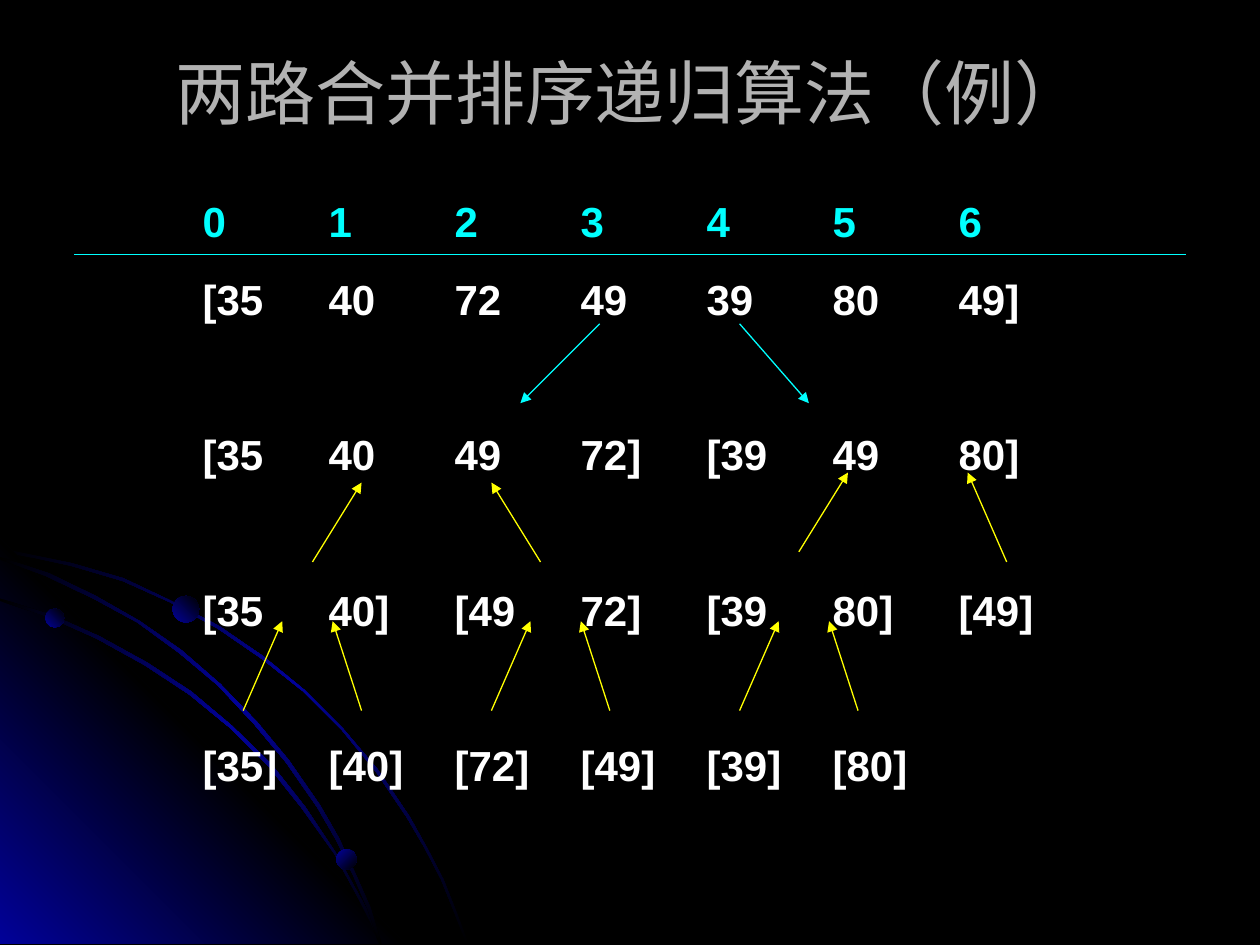
import copy

import pptx
import pptx.util
import pptx.dml.color
import pptx.enum.shapes
import pptx.enum.text
import pptx.oxml.ns
from pptx.util import Inches, Pt

THEME = {
    "font": "Arial", "title_size": 40, "row_size": 24, "line_width": 0.75,
    "background": "000000", "title": "B2B2B2", "text": "FFFFFF",
    "split": "00FFFF", "merge": "FFFF00", "glow": "010199",
}
BLACK, GLOW = THEME["background"], THEME["glow"]

TITLE = "两路合并排序递归算法（例）"
COLUMNS = 7
# Cells, space before in points, colour
ROWS = [
    (["0", "1", "2", "3", "4", "5", "6"], 0, "split"),
    (["[35", "40", "72", "49", "39", "80", "49]"], 16, "text"),
    (["[35", "40", "49", "72]", "[39", "49", "80]"], 60, "text"),
    (["[35", "40]", "[49", "72]", "[39", "80]", "[49]"], 60, "text"),
    (["[35]", "[40]", "[72]", "[49]", "[39]", "[80]"], 60, "text"),
]

# Arrows: x and y of the start, x and y of the end
HEADER_RULE = (0.59, 2.02, 9.41, 2.02)
SPLIT_ARROWS = [(4.76, 2.57, 4.13, 3.2), (5.87, 2.57, 6.42, 3.2)]
HALF_MERGES = [
    (2.48, 4.46, 2.87, 3.83), (4.29, 4.46, 3.9, 3.83),
    (6.34, 4.38, 6.73, 3.75), (7.99, 4.46, 7.68, 3.75),
]
PAIR_MERGE = [(1.93, 2.24), (2.87, 2.64)]
PAIR_TOP, PAIR_BOTTOM, PAIR_STEP, PAIR_COUNT = 4.93, 5.64, 1.97, 3

OUTER_ARC = [
    (0.57, 4.47), (0.28, 4.41), (0, 4.35), (0, 4.38), (0.28, 4.43), (0.56, 4.49),
    (0.97, 4.61), (1.35, 4.78), (1.73, 4.99), (2.08, 5.23), (2.41, 5.49),
    (2.71, 5.79), (2.98, 6.12), (3.23, 6.49), (3.37, 6.73), (3.5, 6.98),
    (3.6, 7.23), (3.7, 7.49), (3.72, 7.49), (3.62, 7.23), (3.52, 6.98),
    (3.39, 6.73), (3.25, 6.48), (3, 6.11), (2.72, 5.78), (2.42, 5.48),
    (2.09, 5.21), (1.74, 4.97), (1.36, 4.77), (0.98, 4.59),
]
CORNER = [(3.22, 7.49), (0, 7.49), (0, 4.27)]
INNER_ARC = [
    (2.85, 7.14), (2.94, 7.32), (3.01, 7.49), (3.03, 7.49), (2.96, 7.3),
    (2.86, 7.12), (2.66, 6.76), (2.42, 6.4), (2.15, 6.06), (1.84, 5.76),
    (1.52, 5.49), (1.17, 5.26), (0.79, 5.05), (0.41, 4.88), (0, 4.75), (0, 4.77),
    (0.39, 4.9), (0.77, 5.07), (1.15, 5.28), (1.5, 5.51), (1.83, 5.78),
    (2.13, 6.08), (2.4, 6.42), (2.65, 6.77),
]
MIDDLE_ARC = [
    (0, 4.42), (0, 4.44), (0.36, 4.57), (0.74, 4.75), (1.09, 4.94), (1.42, 5.18),
    (1.73, 5.44), (2.02, 5.75), (2.27, 6.05), (2.52, 6.41), (2.67, 6.67),
    (2.8, 6.94), (2.92, 7.22), (3.01, 7.49), (3.03, 7.49), (2.94, 7.2),
    (2.82, 6.93), (2.69, 6.65), (2.54, 6.39), (2.29, 6.03), (2.04, 5.73),
    (1.75, 5.43), (1.44, 5.16), (1.11, 4.93), (0.76, 4.73), (0.39, 4.55),
]
ARC_COLORS = [BLACK, GLOW, BLACK]
# Outline, gradient colours, clockwise gradient angle
SWOOSHES = [
    (OUTER_ARC, ARC_COLORS, 45),
    (CORNER, [GLOW, BLACK, GLOW], 315),
    (INNER_ARC, ARC_COLORS, 45),
    (MIDDLE_ARC, ARC_COLORS, 45),
]
# Left, top, diameter, gradient angle
PLANETS = [(0.36, 4.83, 0.15, 315), (2.67, 6.74, 0.16, 45), (1.37, 4.73, 0.21, 315)]


def rgb(value):
    return pptx.dml.color.RGBColor.from_string(value)


def style_gradient(sp, colors, angle):
    """Fill with evenly spaced colours along a clockwise angle, without outline."""
    sp.shadow.inherit = False
    sp.line.fill.background()
    sp.fill.gradient()
    sp.fill.gradient_angle = (360 - angle) % 360
    gs_list = next(sp._element.iter(pptx.oxml.ns.qn("a:gsLst")))
    while len(gs_list) < len(colors):
        gs_list.append(copy.deepcopy(gs_list[0]))
    for i, (stop, color) in enumerate(zip(sp.fill.gradient_stops, colors)):
        stop.position = i / (len(colors) - 1)
        stop.color.rgb = rgb(color)


def add_backdrop(slide):
    for points, colors, angle in SWOOSHES:
        outline = [(Inches(x), Inches(y)) for x, y in points]
        builder = slide.shapes.build_freeform(*outline[0])
        builder.add_line_segments(outline[1:], close=True)
        style_gradient(builder.convert_to_shape(), colors, angle)
    for x, y, size, angle in PLANETS:
        sp = slide.shapes.add_shape(pptx.enum.shapes.MSO_SHAPE.OVAL,
                                    Inches(x), Inches(y), Inches(size), Inches(size))
        style_gradient(sp, [GLOW, BLACK], angle)


def add_text_box(slide, *box):
    tf = slide.shapes.add_textbox(*map(Inches, box)).text_frame
    tf.word_wrap = True
    return tf


def style_paragraph(p, size, color, bold=False):
    for r in p.runs:
        r.font.name = THEME["font"]
        r.font.size = Pt(size)
        r.font.bold = bold
        r.font.color.rgb = rgb(color)


def add_tab_stops(p):
    tabs = pptx.oxml.ns.qn("a:tabLst")
    tab_list = p._p.get_or_add_pPr().makeelement(tabs, {})
    p._p.get_or_add_pPr().append(tab_list)
    for column in range(1, COLUMNS + 1):
        tab = tab_list.makeelement(pptx.oxml.ns.qn("a:tab"),
                                   {"pos": str(Inches(column)), "algn": "l"})
        tab_list.append(tab)


def add_title(slide):
    tf = add_text_box(slide, 0.5, 0.3, 9, 0.85)
    tf.vertical_anchor = pptx.enum.text.MSO_ANCHOR.MIDDLE
    p = tf.paragraphs[0]
    p.text = TITLE
    p.alignment = pptx.enum.text.PP_ALIGN.CENTER
    style_paragraph(p, THEME["title_size"], THEME["title"])


def add_rows(slide):
    tf = add_text_box(slide, 0.51, 1.5, 8.98, 4.76)
    for i, (cells, space, color) in enumerate(ROWS):
        p = tf.add_paragraph() if i else tf.paragraphs[0]
        p.text = "".join("\t" + cell for cell in cells)
        add_tab_stops(p)
        p.space_before = Pt(space)
        style_paragraph(p, THEME["row_size"], THEME[color], bold=True)


def add_line(slide, ends, color, arrow=True):
    line = slide.shapes.add_connector(pptx.enum.shapes.MSO_CONNECTOR.STRAIGHT,
                                      *map(Inches, ends))
    line.line.color.rgb = rgb(THEME[color])
    line.line.width = Pt(THEME["line_width"])
    sp_pr = line._element.spPr
    sp_pr.append(sp_pr.makeelement(pptx.oxml.ns.qn("a:effectLst"), {}))
    if arrow:
        ln = line.line._get_or_add_ln()
        ln.append(ln.makeelement(pptx.oxml.ns.qn("a:tailEnd"), {"type": "triangle"}))


def main():
    prs = pptx.Presentation()
    prs.slide_width, prs.slide_height = Inches(10), Inches(7.5)
    slide = prs.slides.add_slide(prs.slide_layouts[6])
    slide.background.fill.solid()
    slide.background.fill.fore_color.rgb = rgb(THEME["background"])
    add_backdrop(slide)
    add_title(slide)
    add_rows(slide)
    add_line(slide, HEADER_RULE, "split", arrow=False)
    for ends in SPLIT_ARROWS:
        add_line(slide, ends, "split")
    pair_merges = [(x1 + i * PAIR_STEP, PAIR_BOTTOM, x2 + i * PAIR_STEP, PAIR_TOP)
                   for i in range(PAIR_COUNT) for x1, x2 in PAIR_MERGE]
    for ends in pair_merges + HALF_MERGES:
        add_line(slide, ends, "merge")
    prs.save("out.pptx")


if __name__ == "__main__":
    main()
